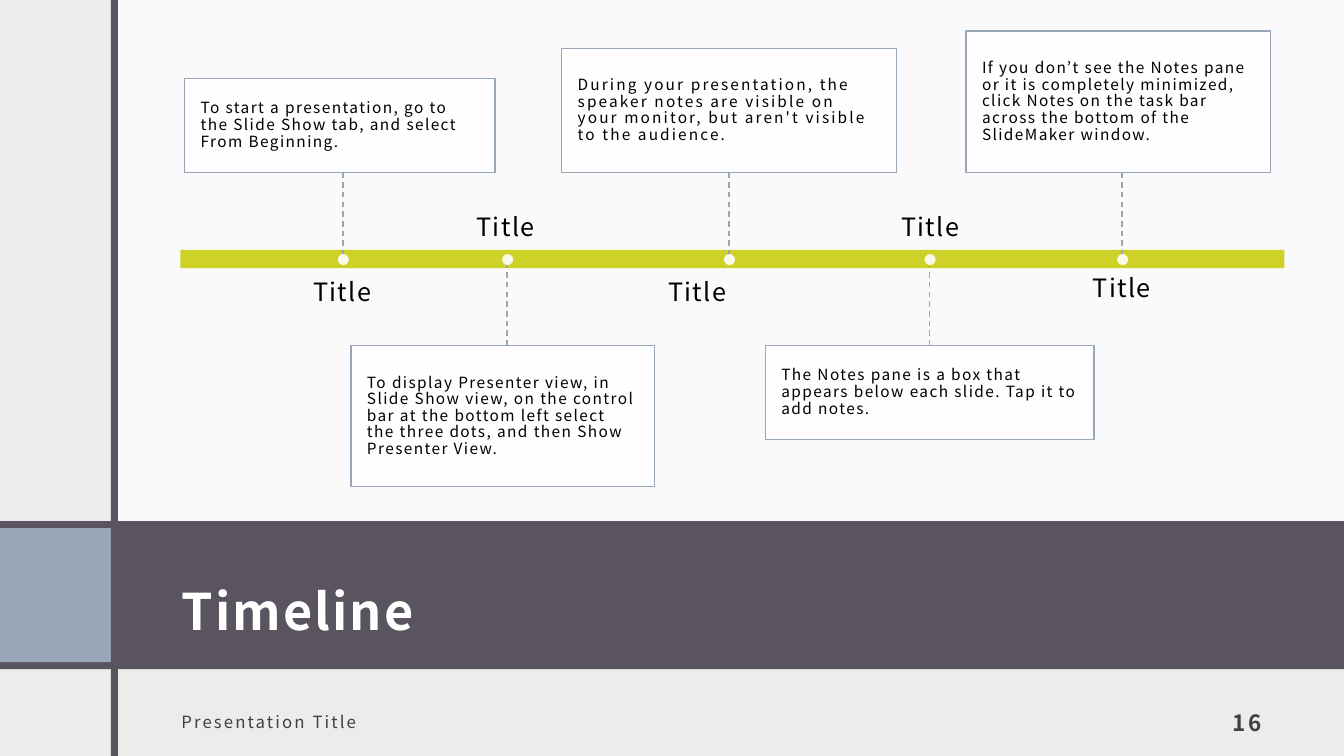
"""Build a timeline slide with five dated steps above and below a bar."""
from lxml import etree
from pptx import Presentation
from pptx.dml.color import RGBColor
from pptx.enum.dml import MSO_LINE
from pptx.enum.shapes import MSO_CONNECTOR, MSO_SHAPE
from pptx.enum.text import MSO_ANCHOR, PP_ALIGN
from pptx.oxml.ns import qn
from pptx.util import Pt

PX = 9144
FONT = "Noto Sans CJK JP"
RECT, OVAL = MSO_SHAPE.RECTANGLE, MSO_SHAPE.OVAL
STRAIGHT, DASH = MSO_CONNECTOR.STRAIGHT, MSO_LINE.DASH
TOP, MIDDLE, BOTTOM = MSO_ANCHOR.TOP, MSO_ANCHOR.MIDDLE, MSO_ANCHOR.BOTTOM
LEFT, CENTER, RIGHT = PP_ALIGN.LEFT, PP_ALIGN.CENTER, PP_ALIGN.RIGHT

PALE = RGBColor(0xEB, 0xED, 0xEB)
WHITE = RGBColor(0xFF, 0xFF, 0xFF)
PLUM = RGBColor(0x59, 0x54, 0x60)
BLUE = RGBColor(0x97, 0xA7, 0xB8)
LIME = RGBColor(0xCE, 0xD2, 0x28)
GRAY = RGBColor(0x40, 0x40, 0x40)
BLACK = RGBColor(0x00, 0x00, 0x00)

prs = Presentation()
prs.slide_width, prs.slide_height = 1333 * PX, 750 * PX
slide = prs.slides.add_slide(prs.slide_layouts[6])
slide.background.fill.solid()
slide.background.fill.fore_color.rgb = PALE
shapes = slide.shapes


def add_block(kind, box, color, opacity=100):
    block = shapes.add_shape(kind, *[n * PX for n in box])
    block.shadow.inherit = False
    block.line.fill.background()
    block.fill.solid()
    block.fill.fore_color.rgb = color
    if opacity < 100:
        tint = block.fill._xPr.find(".//" + qn("a:srgbClr"))
        etree.SubElement(tint, qn("a:alpha"), val=str(opacity * 1000))
    return block


def write(holder, text, size, color, insets, anchor=MIDDLE, align=LEFT,
          bold=False, tracking=100, spacing=1.0):
    frame = holder.text_frame
    frame.word_wrap = True
    frame.vertical_anchor = anchor
    (frame.margin_left, frame.margin_top,
     frame.margin_right, frame.margin_bottom) = [n * PX for n in insets]
    paragraph = frame.paragraphs[0]
    paragraph.text = text
    paragraph.alignment = align
    paragraph.line_spacing = spacing
    font = paragraph.font
    font.name, font.size, font.bold = FONT, Pt(size), bold
    font.color.rgb = color
    font._rPr.set("spc", str(tracking))


add_block(RECT, (114, 0, 1219, 517), WHITE, 75)
add_block(RECT, (0, 517, 1333, 147), PLUM)
add_block(RECT, (0, 524, 110, 133), BLUE)
add_block(RECT, (110, 0, 7, 750), PLUM)

captions = [
    ((168, 533, 1095, 113), "Timeline", 36, WHITE, MIDDLE, LEFT, True, 1.5),
    ((168, 690, 541, 50), "Presentation Title", 12, GRAY, MIDDLE, LEFT, False, 1.0),
    ((1156, 690, 107, 50), "16", 16, GRAY, BOTTOM, RIGHT, True, 1.0),
]
for box, text, size, color, anchor, align, bold, spacing in captions:
    caption = shapes.add_textbox(*[n * PX for n in box])
    write(caption, text, size, color, (12, 12, 12, 10), anchor, align, bold, 150, spacing)

BAR_MIDDLE, UPPER_EDGE, LOWER_EDGE = 257, 171, 343
DOT, TITLE_WIDTH, TITLE_HEIGHT = 11, 291, 51
add_block(RECT, (179, 248, 1095, 18), LIME)

# x of the dot, note above the bar, note left, width, height, title left, title spacing, tracking, text
steps = [
    (340, True, 183, 308, 93, 194, 1.0, 100,
     "To start a presentation, go to the Slide Show tab, and select From Beginning."),
    (503, False, 348, 301, 140, 356, 1.0, 100,
     "To display Presenter view, in Slide Show view, on the control bar at the bottom left "
     "select the three dots, and then Show Presenter View."),
    (723, True, 557, 332, 123, 546, 1.0, 150,
     "During your presentation, the speaker notes are visible on your monitor, "
     "but aren't visible to the audience."),
    (922, False, 759, 326, 93, 777, 0.9, 100,
     "The Notes pane is a box that appears below each slide. Tap it to add notes."),
    (1113, True, 958, 302, 140, 967, 0.9, 100,
     "If you don’t see the Notes pane or it is completely minimized, click Notes on the "
     "task bar across the bottom of the SlideMaker window."),
]
for x, above, left, width, height, title_left, title_spacing, tracking, text in steps:
    edge = UPPER_EDGE if above else LOWER_EDGE
    note_top = edge - height if above else edge
    note = add_block(RECT, (left, note_top, width, height), WHITE, 90)
    note.line.color.rgb = BLUE
    note.line.width = Pt(1)
    write(note, text, 11, BLACK, (16, 7, 16, 7), tracking=tracking, spacing=0.9)

    stem = shapes.add_connector(STRAIGHT, x * PX, edge * PX, x * PX, BAR_MIDDLE * PX)
    stem.line.color.rgb = BLUE
    stem.line.width = Pt(1)
    stem.line.dash_style = DASH
    etree.SubElement(stem._element.spPr, qn("a:effectLst"))
    if x == left + width // 2:
        stem.begin_connect(note, 2 if above else 0)

    title_top = 274 if above else 189
    title = shapes.add_textbox(title_left * PX, title_top * PX,
                               TITLE_WIDTH * PX, TITLE_HEIGHT * PX)
    write(title, "Title", 18, BLACK, (0, 0, 0, 0), TOP if above else BOTTOM,
          CENTER, spacing=title_spacing)
    add_block(OVAL, (x - DOT // 2, BAR_MIDDLE - DOT // 2, DOT, DOT), WHITE, 90)

prs.save("out.pptx")
